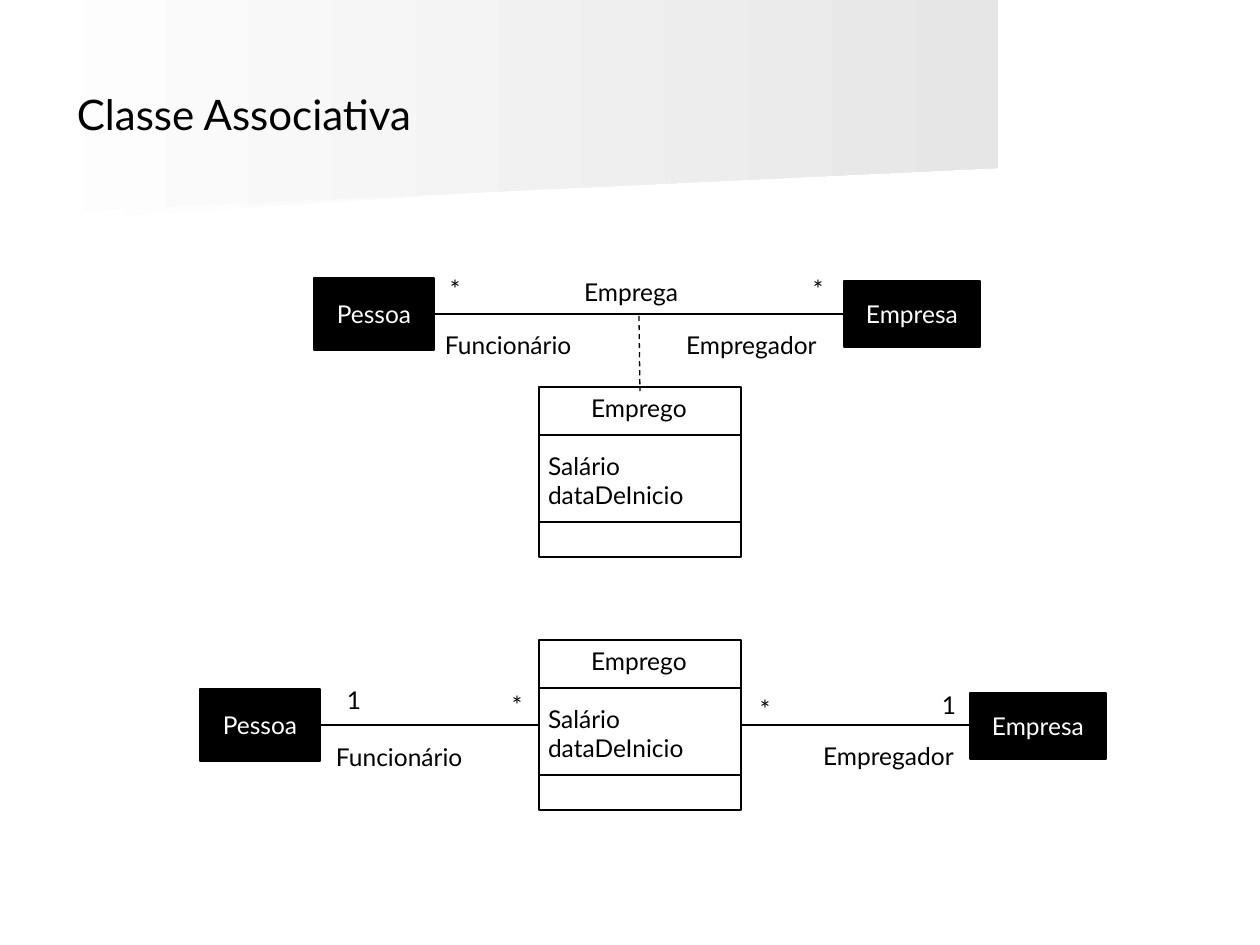
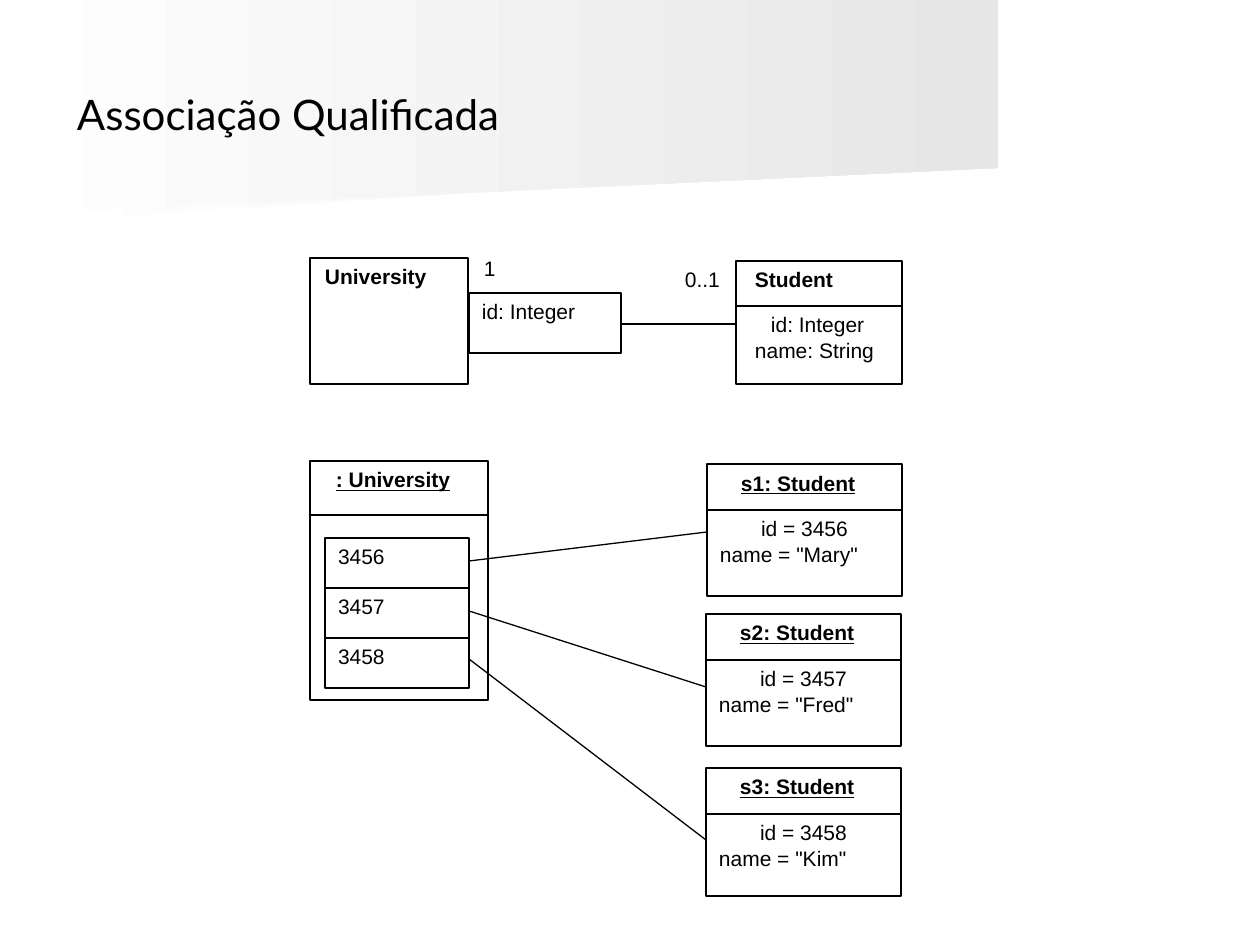
from lxml import etree
from pptx import Presentation
from pptx.dml.color import RGBColor
from pptx.enum.dml import MSO_LINE
from pptx.enum.shapes import MSO_CONNECTOR, MSO_SHAPE
from pptx.enum.text import MSO_ANCHOR, MSO_AUTO_SIZE, PP_ALIGN
from pptx.oxml.ns import qn
from pptx.util import Emu, Pt

PX = 914400 / 126
BLACK = RGBColor(0x00, 0x00, 0x00)
WHITE = RGBColor(0xFF, 0xFF, 0xFF)
PALE_GREY = RGBColor(0xF0, 0xF0, 0xF0)
LIGHT_GREY = RGBColor(0xE6, 0xE6, 0xE6)
LATO, ARIAL = "Lato", "Arial"
PAD_X, PAD_Y = 13, 6

# Shared background bands: end colour, corner points
BANDS = [
    (PALE_GREY, [(981, 159), (0, 224), (0, 105), (982, 105), (981, 132)]),
    (LIGHT_GREY, [(998, 168), (0, 215), (0, 0), (998, 0)]),
]

# Slide 1: association class, then the same model with a plain class
ASSOCIATION_TITLE = "Classe Associativa"
ENTITIES = [  # name, left, top, width, height
    ("Pessoa", 314, 278, 120, 72),
    ("Empresa", 844, 281, 136, 66),
    ("Pessoa", 200, 689, 120, 72),
    ("Empresa", 970, 693, 136, 66),
]
ASSOCIATIONS = [(433, 314, 844, 314), (320, 725, 539, 725), (742, 725, 970, 725)]
CLASS_LINK = (639, 316, 640, 391)
LABELS = [  # text, left, top, width
    ("*", 437, 268, 39),
    ("Emprega", 571, 271, 130),
    ("*", 800, 268, 39),
    ("Funcionário", 432, 324, 161),
    ("Empregador", 673, 324, 170),
    ("1", 334, 679, 39),
    ("*", 499, 684, 39),
    ("*", 747, 688, 39),
    ("1", 929, 684, 39),
    ("Funcionário", 323, 736, 161),
    ("Empregador", 810, 735, 170),
]
JOB_NAME, JOB_ATTRIBUTES = "Emprego", "Salário\ndataDeInicio"
JOB_LEFT, JOB_WIDTH, JOB_HEIGHT = 539, 202, 170
JOB_TOPS = (387, 640)

# Slide 2: qualified association, classes above and objects below
QUALIFIED_TITLE = "Associação Qualificada"
CLASS_BOXES = [  # text, box, left pad, first-line indent, bold
    ("University", (310, 258, 158, 126), 15, 0, True),
    ("Student", (736, 261, 166, 45), 19, 0, True),
    ("id: Integer\vname: String", (736, 306, 166, 78), 19, 16, False),
    ("id: Integer", (469, 293, 152, 60), PAD_X, 0, False),
]
MULTIPLICITIES = [("1", (481, 253, 33, 39)), ("0..1", (682, 264, 49, 39))]
QUALIFIED_LINK = (621, 324, 736, 324)
UNIVERSITY_OBJECT = ": University"
STUDENTS = [  # object, id, name, left, top, body height, link start y, link end y
    ("s1", "3456", "Mary", 707, 464, 86, 561, 532),
    ("s2", "3457", "Fred", 706, 614, 86, 611, 687),
    ("s3", "3458", "Kim", 706, 768, 82, 659, 840),
]
STUDENT_WIDTH, STUDENT_HEADER = 195, 46
KEY_LEFT, KEY_TOP, KEY_WIDTH, KEY_HEIGHT = 325, 538, 144, 50


def px(*lengths):
    return [Emu(round(n * PX)) for n in lengths]


def write(part, text, font, size, color=BLACK, pad=(PAD_X, PAD_Y), align=PP_ALIGN.LEFT,
          first_indent=0, bold=False, underline=False):
    frame = part.text_frame
    frame.margin_left, frame.margin_top = px(*pad)
    frame.margin_right, frame.margin_bottom = px(min(pad[0], PAD_X), pad[1])
    frame.text = text
    for paragraph in frame.paragraphs:
        paragraph.alignment = align
        if first_indent:
            p_pr = paragraph._p.get_or_add_pPr()
            p_pr.set("marL", "0")
            p_pr.set("indent", str(px(first_indent)[0]))
        for run in paragraph.runs:
            run.font.name, run.font.size = font, Pt(size)
            run.font.color.rgb = color
            run.font.bold, run.font.underline = bold, underline
    return frame


def add_box(slide, bounds, fill=None):
    box = slide.shapes.add_shape(MSO_SHAPE.RECTANGLE, *px(*bounds))
    box.shadow.inherit = False
    if fill is None:
        box.fill.background()
    else:
        box.fill.solid()
        box.fill.fore_color.rgb = fill
    box.line.color.rgb, box.line.width = BLACK, Pt(0.75)
    return box


def add_line(slide, ends, dash=None):
    line = slide.shapes.add_connector(MSO_CONNECTOR.STRAIGHT, *px(*ends))
    line.line.color.rgb, line.line.width = BLACK, Pt(0.75)
    if dash:
        line.line.dash_style = dash
    etree.SubElement(line._element.spPr, qn("a:effectLst"))


def add_label(slide, text, left, top, width, height=43):
    label = slide.shapes.add_textbox(*px(left, top, width, height))
    frame = write(label, text, LATO, 14)
    frame.word_wrap = False
    frame.auto_size = MSO_AUTO_SIZE.SHAPE_TO_FIT_TEXT


def add_uml_box(slide, text, bounds, pad=PAD_X, first_indent=0, bold=False, underline=False):
    frame = write(add_box(slide, bounds), text, ARIAL, 12, pad=(pad, PAD_Y),
                  first_indent=first_indent, bold=bold, underline=underline)
    frame.vertical_anchor = MSO_ANCHOR.TOP
    frame.word_wrap = True


def start_slide(deck, title):
    slide = deck.slides.add_slide(deck.slide_layouts[6])
    for end_color, (start, *corners) in BANDS:
        builder = slide.shapes.build_freeform(*start, scale=PX)
        builder.add_line_segments(corners, close=True)
        band = builder.convert_to_shape()
        band.shadow.inherit = False
        band.line.fill.background()
        band.fill.gradient()
        band.fill.gradient_angle = 0
        for stop, color in zip(band.fill.gradient_stops, (WHITE, end_color)):
            stop.color.rgb = color
            stop.position = 0 if color == WHITE else 1
    heading = slide.shapes.add_textbox(*px(64, 35, 1134, 158))
    frame = write(heading, title, LATO, 24)
    frame.word_wrap = True
    frame.vertical_anchor = MSO_ANCHOR.MIDDLE
    return slide


def add_job_class(slide, top):
    add_box(slide, (JOB_LEFT, top, JOB_WIDTH, JOB_HEIGHT))
    for divider in (top + 48, top + 135):
        add_line(slide, (JOB_LEFT, divider, JOB_LEFT + JOB_WIDTH, divider))
    add_label(slide, JOB_NAME, JOB_LEFT + 39, top, 131)
    add_label(slide, JOB_ATTRIBUTES, JOB_LEFT - 4, top + 58, 171, 72)


def build_association_class(deck):
    slide = start_slide(deck, ASSOCIATION_TITLE)
    for name, *bounds in ENTITIES:
        frame = write(add_box(slide, bounds, BLACK), name, LATO, 14, WHITE,
                      align=PP_ALIGN.CENTER)
        frame.vertical_anchor = MSO_ANCHOR.MIDDLE
        frame.word_wrap = False
    for ends in ASSOCIATIONS:
        add_line(slide, ends)
    add_line(slide, CLASS_LINK, MSO_LINE.DASH)
    for top in JOB_TOPS:
        add_job_class(slide, top)
    for label in LABELS:
        add_label(slide, *label)


def build_qualified_association(deck):
    slide = start_slide(deck, QUALIFIED_TITLE)

    # Classes
    for class_box in CLASS_BOXES:
        add_uml_box(slide, *class_box)
    for text, bounds in MULTIPLICITIES:
        multiplicity = slide.shapes.add_textbox(*px(*bounds))
        write(multiplicity, text, ARIAL, 12, pad=(3, 3)).word_wrap = True
    add_line(slide, QUALIFIED_LINK)

    # University object with one key per student object
    add_uml_box(slide, UNIVERSITY_OBJECT, (310, 461, 178, 54), 26, bold=True, underline=True)
    add_box(slide, (310, 515, 178, 185))
    for row, (name, key, person, left, top, body, start_y, end_y) in enumerate(STUDENTS):
        add_uml_box(slide, key, (KEY_LEFT, KEY_TOP + row * KEY_HEIGHT, KEY_WIDTH, KEY_HEIGHT))
        add_uml_box(slide, f"{name}: Student", (left, top, STUDENT_WIDTH, STUDENT_HEADER),
                    34, bold=True, underline=True)
        add_uml_box(slide, f'id = {key}\vname = "{person}"',
                    (left, top + STUDENT_HEADER, STUDENT_WIDTH, body), first_indent=41)
        add_line(slide, (KEY_LEFT + KEY_WIDTH, start_y, left, end_y))


def main():
    deck = Presentation()
    deck.slide_width, deck.slide_height = px(1260, 945)
    build_association_class(deck)
    build_qualified_association(deck)
    deck.save("out.pptx")


if __name__ == "__main__":
    main()
